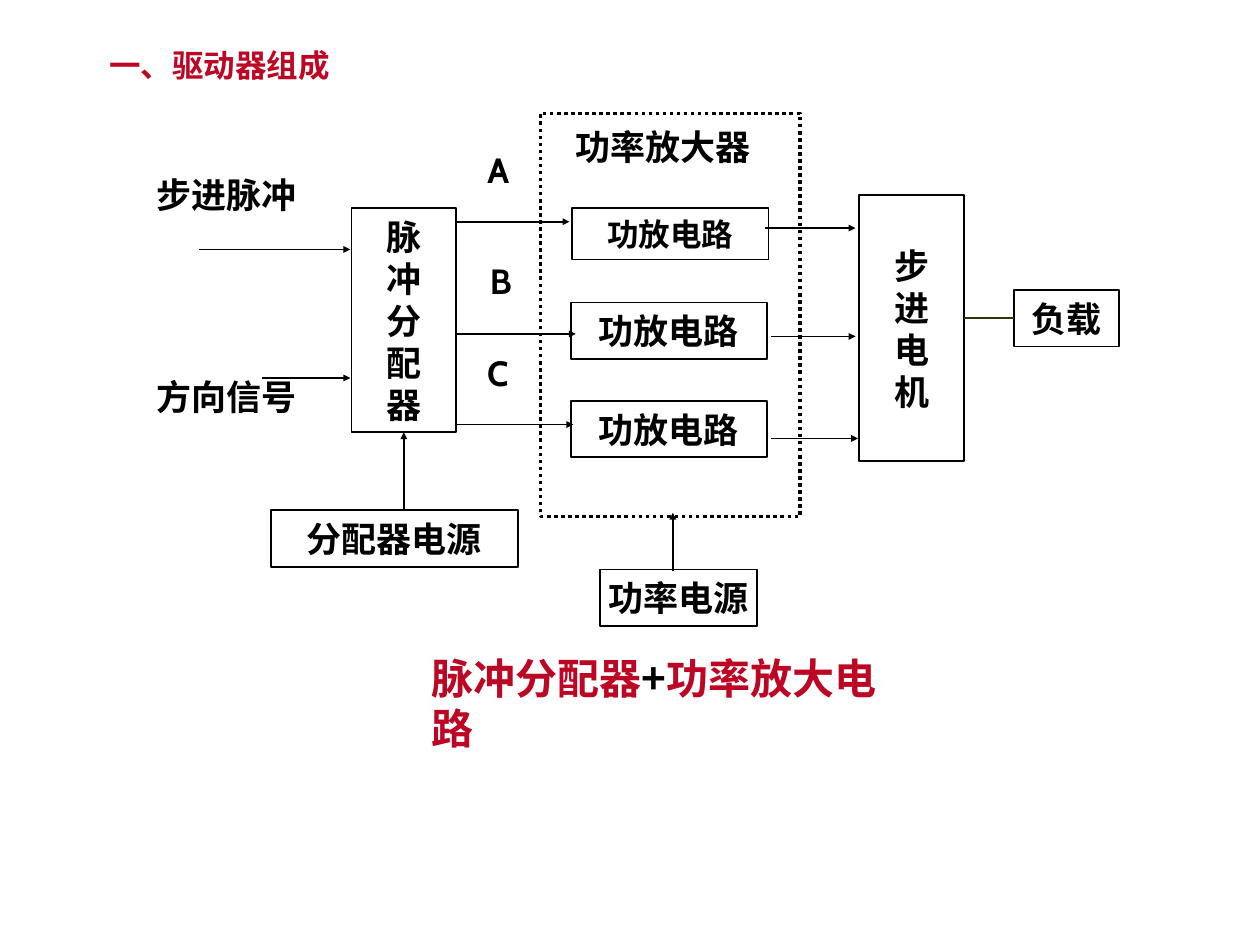
from typing import NamedTuple, Optional

from lxml.etree import SubElement
from pptx import Presentation
from pptx.dml.color import RGBColor
from pptx.enum.dml import MSO_LINE
from pptx.enum.shapes import MSO_CONNECTOR, MSO_SHAPE
from pptx.enum.text import MSO_ANCHOR, PP_ALIGN
from pptx.oxml.ns import qn
from pptx.util import Inches, Pt

COLORS = {"ink": "000000", "accent": "BD0524", "load_link": "333300"}
LATIN_FONT = "Cabin"
HEADING_FONT = "Calibri"
CHINESE_FONT = "Noto Sans CJK SC"


class Box(NamedTuple):
    key: str
    left: float
    top: float
    width: float
    height: float
    lines: tuple = ()
    size: float = 20


class Label(NamedTuple):
    text: str
    left: float
    top: float
    width: float


class Link(NamedTuple):
    start: tuple
    end: tuple
    joined_box: Optional[str] = None
    site: int = 0
    color: str = "ink"
    weight: float = 1
    arrow: bool = True


BOXES = [
    Box("distributor", 2.79, 1.65, 0.83, 1.78, tuple("脉冲分配器")),
    Box("circuit A", 4.54, 1.65, 1.56, 0.41, ("功放电路",), 18),
    Box("circuit B", 4.53, 2.4, 1.56, 0.45, ("功放电路",)),
    Box("circuit C", 4.53, 3.18, 1.56, 0.45, ("功放电路",)),
    Box("motor", 6.82, 1.55, 0.83, 2.11, tuple("步进电机")),
    Box("load", 8.05, 2.3, 0.83, 0.45, ("负载",)),
    Box("amplifier supply", 4.76, 4.52, 1.25, 0.45, ("功率电源",)),
    Box("distributor supply", 2.15, 4.05, 1.96, 0.45, ("分配器电源",)),
    Box("amplifier", 4.29, 0.9, 2.06, 3.2),
]

LABELS = [
    Label("功率放大器", 4.54, 0.95, 1.44),
    Label("步进脉冲", 1.22, 1.33, 1.16),
    Label("方向信号", 1.22, 2.93, 1.16),
    Label("A", 3.84, 1.13, 0.23),
    Label("B", 3.86, 2.01, 0.23),
    Label("C", 3.84, 2.74, 0.22),
]

LINKS = [
    # Input signals
    Link((1.58, 1.98), (2.78, 1.98)),
    Link((2.08, 3), (2.78, 3)),
    # Phases A, B and C into the amplifier
    Link((3.62, 1.76), (4.52, 1.76)),
    Link((3.62, 2.65), (4.57, 2.65)),
    Link((3.62, 3.37), (4.55, 3.37)),
    # Amplifier outputs to the motor
    Link((6.07, 1.81), (6.79, 1.81)),
    Link((6.12, 2.67), (6.79, 2.67)),
    Link((6.12, 3.48), (6.81, 3.48)),
    # Power supplies
    Link((5.34, 4.53), (5.34, 4.07)),
    Link((3.2, 4.04), (3.2, 3.43), "distributor", 2),
    # Motor to load
    Link((7.65, 2.53), (8.05, 2.53), "load", 1, "load_link", 0.75, False),
]


def rgb(color: str) -> RGBColor:
    return RGBColor.from_string(COLORS[color])


def add_run(paragraph, text: str, size: float, color: str = "ink",
            font_name: str = LATIN_FONT) -> None:
    run = paragraph.add_run()
    run.text = text
    run.font.name = font_name
    run.font.size = Pt(size)
    run.font.bold = True
    run.font.color.rgb = rgb(color)
    SubElement(run.font._element, qn("a:ea")).set("typeface", CHINESE_FONT)


def set_margins(text_frame) -> None:
    text_frame.margin_left = text_frame.margin_right = Inches(0.02)
    text_frame.margin_top = text_frame.margin_bottom = Inches(0.05)


def add_box(slide, box: Box):
    shape = slide.shapes.add_shape(
        MSO_SHAPE.RECTANGLE, Inches(box.left), Inches(box.top),
        Inches(box.width), Inches(box.height))
    shape.shadow.inherit = False
    shape.fill.background()
    shape.line.color.rgb = rgb("ink")
    shape.line.width = Pt(1)
    text_frame = shape.text_frame
    set_margins(text_frame)
    text_frame.word_wrap = True
    text_frame.vertical_anchor = MSO_ANCHOR.MIDDLE
    for index, line in enumerate(box.lines):
        paragraph = text_frame.add_paragraph() if index else text_frame.paragraphs[0]
        paragraph.alignment = PP_ALIGN.CENTER
        add_run(paragraph, line, box.size)
    return shape


def add_label(slide, label: Label) -> None:
    text_box = slide.shapes.add_textbox(
        Inches(label.left), Inches(label.top), Inches(label.width), Inches(0.43))
    text_frame = text_box.text_frame
    set_margins(text_frame)
    text_frame.word_wrap = False
    paragraph = text_frame.paragraphs[0]
    paragraph.alignment = PP_ALIGN.CENTER
    add_run(paragraph, label.text, 20)


def add_link(slide, link: Link, shapes: dict) -> None:
    connector = slide.shapes.add_connector(
        MSO_CONNECTOR.STRAIGHT, *(Inches(value) for value in link.start + link.end))
    if link.joined_box:
        connector.end_connect(shapes[link.joined_box], link.site)
        # Keep the joined line level or upright
        if link.start[0] == link.end[0]:
            connector.begin_x = connector.end_x
        else:
            connector.begin_y = connector.end_y
    connector.line.color.rgb = rgb(link.color)
    connector.line.width = Pt(link.weight)
    if link.arrow:
        tail = SubElement(connector.line._get_or_add_ln(), qn("a:tailEnd"))
        for attribute, value in (("type", "triangle"), ("w", "sm"), ("len", "sm")):
            tail.set(attribute, value)
    SubElement(connector._element.spPr, qn("a:effectLst"))


def add_heading(slide, left: float, top: float, width: float, height: float,
                wrap: bool, size: float, font_name: str, runs: list) -> None:
    text_box = slide.shapes.add_textbox(
        Inches(left), Inches(top), Inches(width), Inches(height))
    text_box.text_frame.word_wrap = wrap
    for text, color in runs:
        add_run(text_box.text_frame.paragraphs[0], text, size, color, font_name)


def main() -> None:
    presentation = Presentation()
    presentation.slide_width = Inches(10)
    presentation.slide_height = Inches(7.5)
    slide = presentation.slides.add_slide(presentation.slide_layouts[6])

    # Block diagram
    shapes = {box.key: add_box(slide, box) for box in BOXES}
    shapes["amplifier"].line.width = Pt(2)
    shapes["amplifier"].line.dash_style = MSO_LINE.ROUND_DOT
    for label in LABELS:
        add_label(slide, label)
    for link in LINKS:
        add_link(slide, link, shapes)

    # Summary and title
    add_heading(slide, 3.33, 5.13, 4.06, 0.5, True, 24, CHINESE_FONT,
                [("脉冲分配器", "accent"), ("+", "ink"), ("功率放大电路", "accent")])
    add_heading(slide, 0.77, 0.32, 1.98, 0.4, False, 18, HEADING_FONT,
                [("一、驱动器组成", "accent")])

    presentation.save("out.pptx")


if __name__ == "__main__":
    main()
